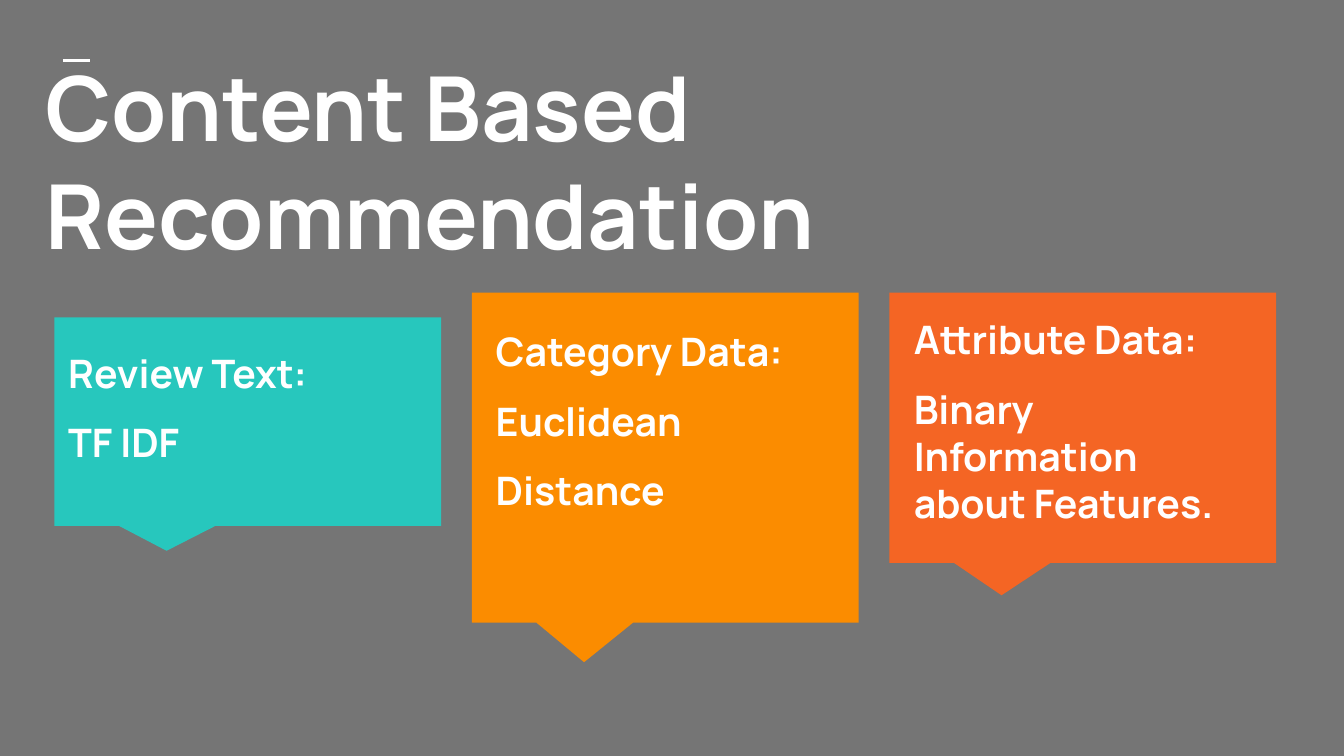
from lxml.etree import SubElement
from pptx import Presentation
from pptx.dml.color import RGBColor
from pptx.enum.shapes import MSO_CONNECTOR, MSO_SHAPE
from pptx.enum.text import MSO_ANCHOR, MSO_AUTO_SIZE, PP_ALIGN
from pptx.oxml.ns import qn
from pptx.util import Cm, Pt

FONT = "Manrope"
WHITE = "FFFFFF"
BACKGROUND = "757575"
TITLE = "Content Based Recommendation"
CARDS = [
    {"lines": ["Review Text:", "TF IDF"], "color": "27C7BD",
     "top": 6, "height": 3.94, "text_left": 1.04, "text_top": 6.35},
    {"lines": ["Category Data:", "Euclidean", "Distance"], "color": "FB8C00",
     "top": 5.53, "height": 6.24, "text_left": 9.12, "text_top": 5.94},
    {"lines": ["Attribute Data:", "Binary Information about Features."], "color": "F46524",
     "top": 5.53, "height": 5.11, "text_left": 17.02, "text_top": 5.72},
]
CARD_LEFT, CARD_STEP, CARD_WIDTH = 1.03, 7.89, 7.31
POINTER = (-0.21, 0.62)
TEXT_WIDTH, TEXT_HEIGHT = 6.88, 5.56


def rgb(color):
    """Return the color for a hex string."""
    return RGBColor.from_string(color)


def write_text(shape, lines, size, space_after=0):
    """Write bold white paragraphs from the top left of a shape."""
    frame = shape.text_frame
    frame.word_wrap = True
    frame.auto_size = MSO_AUTO_SIZE.NONE
    frame.vertical_anchor = MSO_ANCHOR.TOP
    frame.margin_left = frame.margin_right = Cm(0.25)
    frame.margin_top = frame.margin_bottom = Cm(0.25)
    for index, line in enumerate(lines):
        paragraph = frame.add_paragraph() if index else frame.paragraphs[0]
        paragraph.alignment = PP_ALIGN.LEFT
        paragraph.space_before = Pt(0)
        paragraph.space_after = Pt(space_after)
        run = paragraph.add_run()
        run.text = line
        run.font.name = FONT
        run.font.size = Pt(size)
        run.font.bold = True
        run.font.color.rgb = rgb(WHITE)


def add_title(slide):
    """Place the title and the short line above it."""
    title = slide.shapes.title
    title.left, title.top = Cm(0.61), Cm(0.74)
    title.width, title.height = Cm(23.95), Cm(2.84)
    write_text(title, [TITLE], 48)
    accent = slide.shapes.add_connector(
        MSO_CONNECTOR.STRAIGHT, Cm(1.19), Cm(1.14), Cm(1.7), Cm(1.14))
    accent.line.color.rgb = rgb(WHITE)
    accent.line.width = Pt(1.5)
    SubElement(accent._element.spPr, qn("a:effectLst"))


def add_callout(slide, index, card):
    """Add the colored callout of a card."""
    callout = slide.shapes.add_shape(
        MSO_SHAPE.RECTANGULAR_CALLOUT, Cm(CARD_LEFT + index * CARD_STEP),
        Cm(card["top"]), Cm(CARD_WIDTH), Cm(card["height"]))
    callout.adjustments[0], callout.adjustments[1] = POINTER
    callout.shadow.inherit = False
    callout.fill.solid()
    callout.fill.fore_color.rgb = rgb(card["color"])
    callout.line.fill.background()


def add_card_text(slide, card):
    """Add the text box of a card."""
    box = slide.shapes.add_textbox(
        Cm(card["text_left"]), Cm(card["text_top"]), Cm(TEXT_WIDTH), Cm(TEXT_HEIGHT))
    write_text(box, card["lines"], 21, space_after=12)


def main():
    """Build and save the slide."""
    presentation = Presentation()
    presentation.slide_width, presentation.slide_height = Cm(25.4), Cm(14.29)
    slide = presentation.slides.add_slide(presentation.slide_layouts[5])
    slide.background.fill.solid()
    slide.background.fill.fore_color.rgb = rgb(BACKGROUND)
    add_title(slide)
    for index, card in enumerate(CARDS):
        add_callout(slide, index, card)
    for card in CARDS:
        add_card_text(slide, card)
    presentation.save("out.pptx")


if __name__ == "__main__":
    main()
